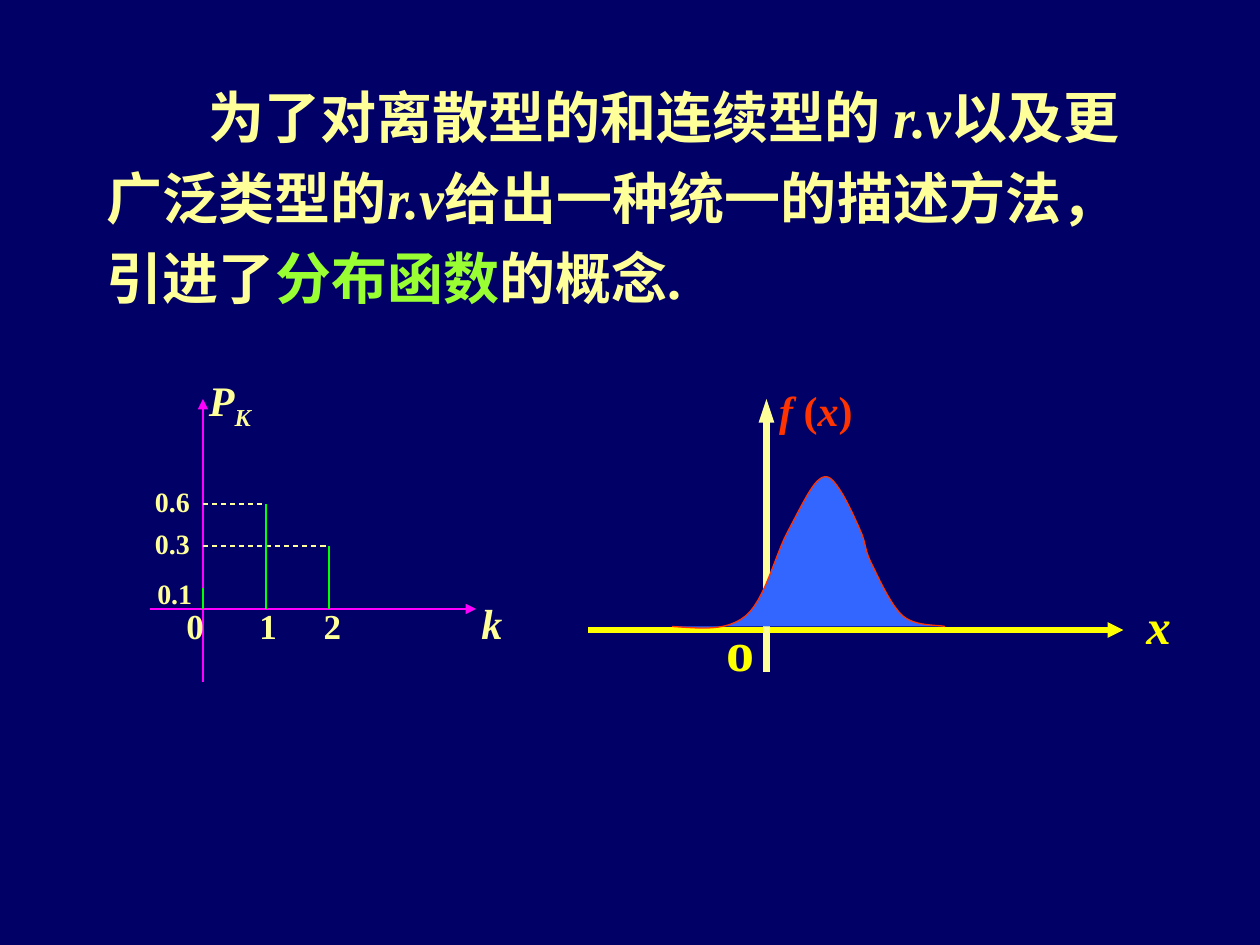
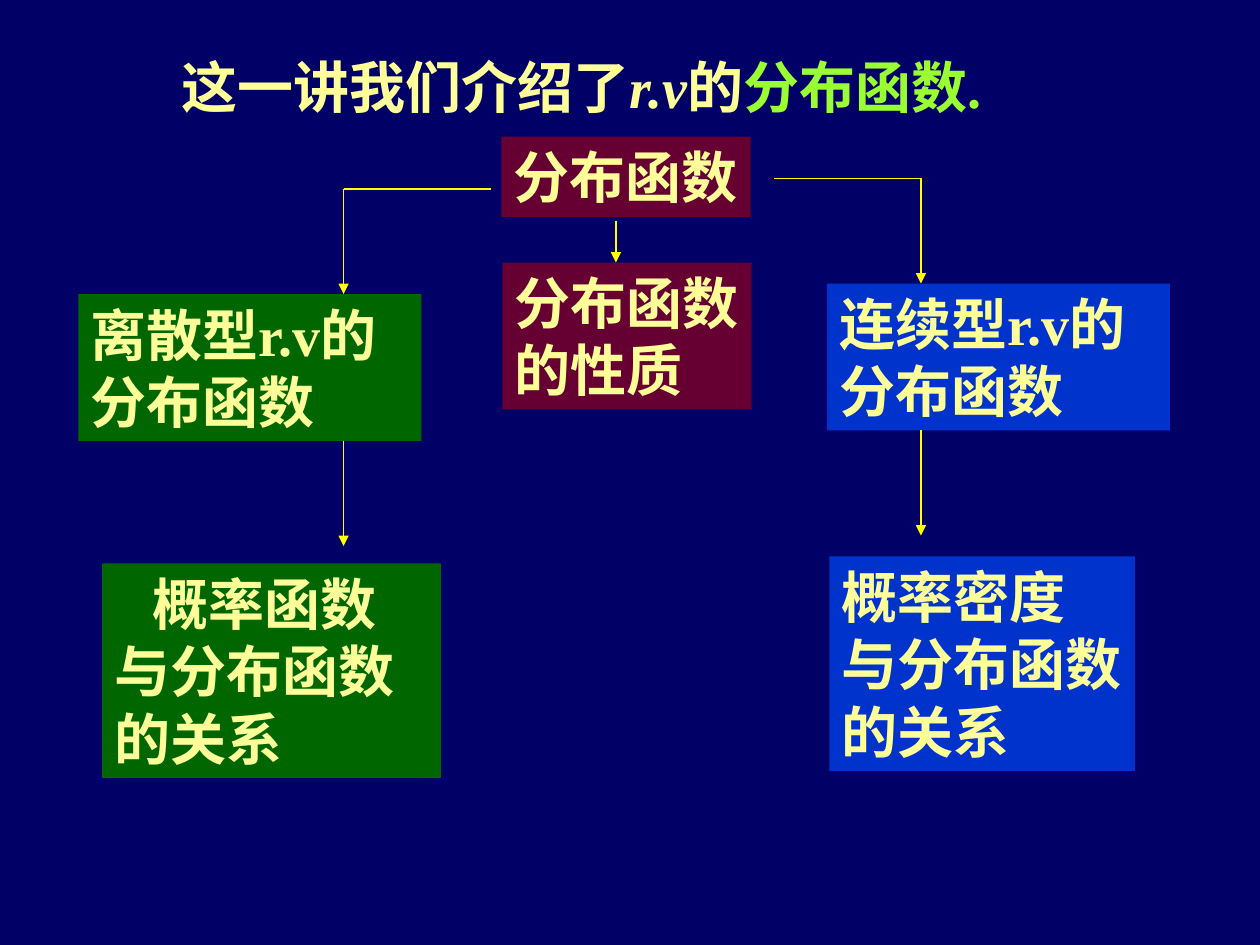
from dataclasses import dataclass
from typing import NamedTuple, Optional

from lxml.etree import SubElement
from pptx import Presentation
from pptx.dml.color import RGBColor
from pptx.enum.dml import MSO_LINE
from pptx.enum.shapes import MSO_CONNECTOR, MSO_SHAPE
from pptx.enum.text import MSO_ANCHOR, MSO_AUTO_SIZE, PP_ALIGN
from pptx.oxml.ns import qn
from pptx.util import Pt

FONT = "Times New Roman"
NAVY = "000066"
CREAM = "FFFF99"
YELLOW = "FFFF00"
LIME = "99FF33"
RED = "FF3300"
MAGENTA = "FF00FF"
GREEN = "00FF00"
CURVE_BLUE = "3366FF"
WINE = "660033"
FOREST = "006600"
ROYAL = "0033CC"


class Span(NamedTuple):
    text: str
    color: Optional[str] = None
    italic: Optional[bool] = None
    subscript: bool = False


@dataclass
class TextBlock:
    left: float
    top: float
    width: float
    height: float
    lines: list
    size: float = 32
    color: str = CREAM
    fill: Optional[str] = None
    italic: Optional[bool] = None
    wrap: bool = False
    indent: float = 0
    spacing: Optional[float] = None
    inset: float = 7.2


@dataclass
class Line:
    x1: float
    y1: float
    x2: float
    y2: float
    color: str = YELLOW
    width: float = 0.75
    arrow: bool = False
    dashed: bool = False
    head_width: str = "med"


class Mass(NamedTuple):
    value: str
    height: float
    value_left: float
    value_top: float
    k_left: float


def rgb(color: str) -> RGBColor:
    return RGBColor.from_string(color)


def add_page(deck):
    page = deck.slides.add_slide(deck.slide_layouts[6])
    page.background.fill.solid()
    page.background.fill.fore_color.rgb = rgb(NAVY)
    return page


def draw_text(page, block: TextBlock) -> None:
    place = [Pt(n) for n in (block.left, block.top, block.width, block.height)]
    if block.fill:
        box = page.shapes.add_shape(MSO_SHAPE.RECTANGLE, *place)
        box.shadow.inherit = False
        box.fill.solid()
        box.fill.fore_color.rgb = rgb(block.fill)
        box.line.fill.background()
    else:
        box = page.shapes.add_textbox(*place)
    frame = box.text_frame
    frame.word_wrap = block.wrap
    frame.auto_size = MSO_AUTO_SIZE.SHAPE_TO_FIT_TEXT
    frame.vertical_anchor = MSO_ANCHOR.TOP
    frame.margin_left = Pt(block.inset)
    for index, line in enumerate(block.lines):
        para = frame.add_paragraph() if index else frame.paragraphs[0]
        para.alignment = PP_ALIGN.LEFT
        if block.spacing:
            para.line_spacing = block.spacing
        if block.indent and index == 0:
            para._p.get_or_add_pPr().set("indent", str(Pt(block.indent)))
        para.font.name = FONT
        para.font.size = Pt(block.size)
        para.font.bold = True
        para.font.italic = block.italic
        para.font.color.rgb = rgb(block.color)
        for span in [Span(line)] if isinstance(line, str) else line:
            run = para.add_run()
            run.text = span.text
            if span.color:
                run.font.color.rgb = rgb(span.color)
            if span.italic is not None:
                run.font.italic = span.italic
            if span.subscript:
                run._r.get_or_add_rPr().set("baseline", "-25000")


def draw_line(page, line: Line) -> None:
    ends = [Pt(n) for n in (line.x1, line.y1, line.x2, line.y2)]
    connector = page.shapes.add_connector(MSO_CONNECTOR.STRAIGHT, *ends)
    connector.line.color.rgb = rgb(line.color)
    connector.line.width = Pt(line.width)
    if line.dashed:
        connector.line.dash_style = MSO_LINE.DASH
    properties = connector._element.spPr
    if line.arrow:
        SubElement(properties.find(qn("a:ln")), qn("a:tailEnd"),
                   type="triangle", w=line.head_width)
    SubElement(properties, qn("a:effectLst"))


def draw_all(page, items: list) -> None:
    for item in items:
        if isinstance(item, Line):
            draw_line(page, item)
        else:
            draw_text(page, item)


def bezier(start: tuple, segment: tuple, t: float) -> tuple:
    weights = ((1 - t) ** 3, 3 * t * (1 - t) ** 2, 3 * t * t * (1 - t), t ** 3)
    points = (start, *segment)
    return tuple(
        Pt(sum(w * point[axis] for w, point in zip(weights, points)))
        for axis in (0, 1)
    )


def draw_density_curve(page) -> None:
    start = (384, 358)
    segments = [
        ((400, 359), (415, 361), (426, 352)),
        ((437, 343), (443, 317), (450, 304)),
        ((457, 291), (463, 278), (468, 274)),
        ((473, 270), (476, 274), (480, 280)),
        ((484, 286), (489, 297), (492, 304)),
        ((495, 311), (494, 314), (498, 322)),
        ((502, 330), (509, 346), (516, 352)),
        ((523, 358), (536, 357), (540, 358)),
    ]
    steps = 12
    builder = page.shapes.build_freeform(Pt(start[0]), Pt(start[1]), scale=1.0)
    for segment in segments:
        points = [bezier(start, segment, n / steps) for n in range(1, steps + 1)]
        builder.add_line_segments(points, close=False)
        start = segment[-1]
    curve = builder.convert_to_shape()
    curve.shadow.inherit = False
    curve.fill.solid()
    curve.fill.fore_color.rgb = rgb(CURVE_BLUE)
    curve.line.color.rgb = rgb(RED)
    curve.line.width = Pt(0.75)


def draw_density_plot(page) -> None:
    draw_all(page, [
        TextBlock(432, 216, 72, 36,
                  [[Span("f "), Span("(", italic=False), Span("x"),
                    Span(")", italic=False)]],
                  size=24, color=RED, italic=True, inset=13.2),
        TextBlock(648, 337, 30, 41, ["x"], size=28, color=YELLOW, italic=True),
        Line(336, 360, 642, 360, width=3, arrow=True),
        TextBlock(408, 348, 32, 46, ["o"], color=YELLOW, wrap=True),
        Line(438, 384, 438, 228, color=CREAM, width=4.5, arrow=True,
             head_width="sm"),
    ])
    draw_density_curve(page)


def draw_mass_plot(page) -> None:
    origin_x, origin_y, step = 116, 348, 36
    masses = [
        Mass("0.1", 12, 82.8, 326.2, 99.4),
        Mass("0.3", 36, 81.4, 297.4, 177.8),
        Mass("0.6", 60, 81.4, 273.6, 141.1),
    ]
    draw_all(page, [
        Line(86, origin_y, 272, origin_y, MAGENTA, arrow=True),
        Line(origin_x, 390, origin_x, 228, MAGENTA, arrow=True),
    ])
    for k, mass in zip((0, 2, 1), masses):
        x, y = origin_x + k * step, origin_y - mass.height
        draw_line(page, Line(x, y, x, origin_y, GREEN))
        if k:
            draw_line(page, Line(origin_x, y, x, y, CREAM, dashed=True))
        draw_all(page, [
            TextBlock(mass.value_left, mass.value_top, 40, 26.6, [mass.value], size=16),
            TextBlock(mass.k_left, 342, 27, 31.5, [str(k)], size=20),
        ])
    draw_all(page, [
        TextBlock(268, 337.7, 30, 36, ["k"], size=24, italic=True),
        TextBlock(112.3, 210.2, 48, 40, [[Span("P"), Span("K", subscript=True)]],
                  size=24, italic=True),
    ])


def build_motivation(deck) -> None:
    page = add_page(deck)
    draw_text(page, TextBlock(
        54, 36, 620, 145.5,
        [[Span("为了对离散型的和连续型的 "), Span("r.v", italic=True),
          Span("以及更广泛类型的"), Span("r.v", italic=True),
          Span("给出一种统一的描述方法，引进了"), Span("分布函数", LIME),
          Span("的概念.")]],
        wrap=True, indent=58, spacing=1.2))
    draw_density_plot(page)
    draw_mass_plot(page)


def build_summary(deck) -> None:
    page = add_page(deck)
    draw_all(page, [
        TextBlock(96.5, 26.6, 497, 46,
                  [[Span("这一讲我们介绍了"), Span("r.v", italic=True),
                    Span("的"), Span("分布函数.", LIME)]]),
        TextBlock(286.5, 78, 142.5, 46, ["分布函数"], fill=WINE),
        TextBlock(287, 150, 142.5, 84, ["分布函数", "的性质"], fill=WINE),
        Line(352, 126, 352, 150, arrow=True),
        TextBlock(44.8, 168, 196, 84, ["离散型r.v的", "分布函数"], fill=FOREST),
        TextBlock(472.5, 162, 196, 84, ["连续型r.v的", "分布函数"], fill=ROYAL),
        TextBlock(58.3, 322, 193.7, 122.5, ["概率函数", "与分布函数的关系"],
                  fill=FOREST, wrap=True, indent=22),
        TextBlock(474, 318, 174.5, 122.5, ["概率密度", "与分布函数", "的关系"],
                  fill=ROYAL),
    ])
    for branch_x, inner_x, top in ((196.3, 280.3, 108), (526.3, 442.3, 102)):
        draw_all(page, [
            Line(branch_x, top, inner_x, top),
            Line(branch_x, top, branch_x, top + 60, arrow=True),
            Line(branch_x, top + 144, branch_x, top + 204, arrow=True),
        ])


def main() -> None:
    deck = Presentation()
    deck.slide_width = Pt(720)
    deck.slide_height = Pt(540)
    build_motivation(deck)
    build_summary(deck)
    deck.save("out.pptx")


if __name__ == "__main__":
    main()
